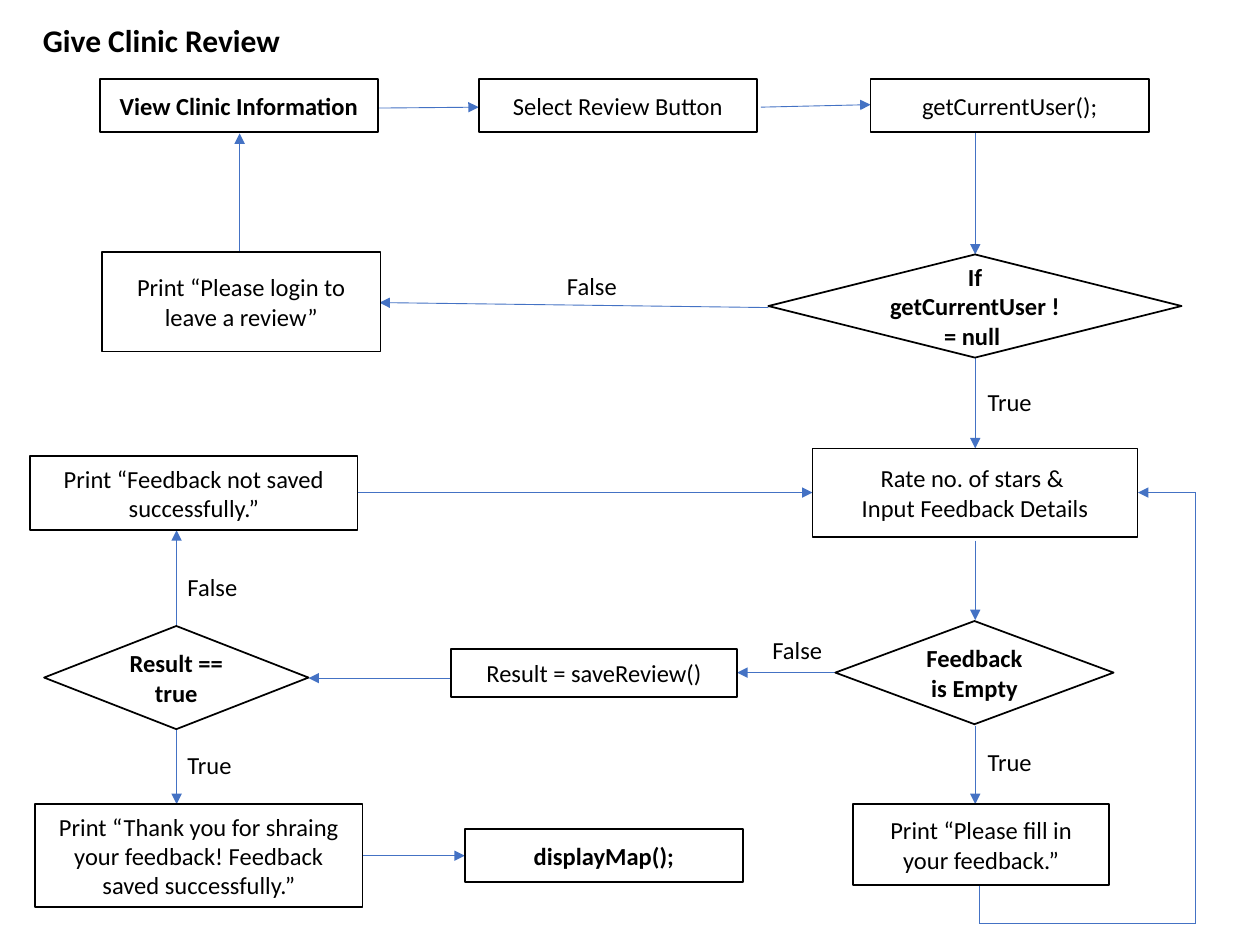
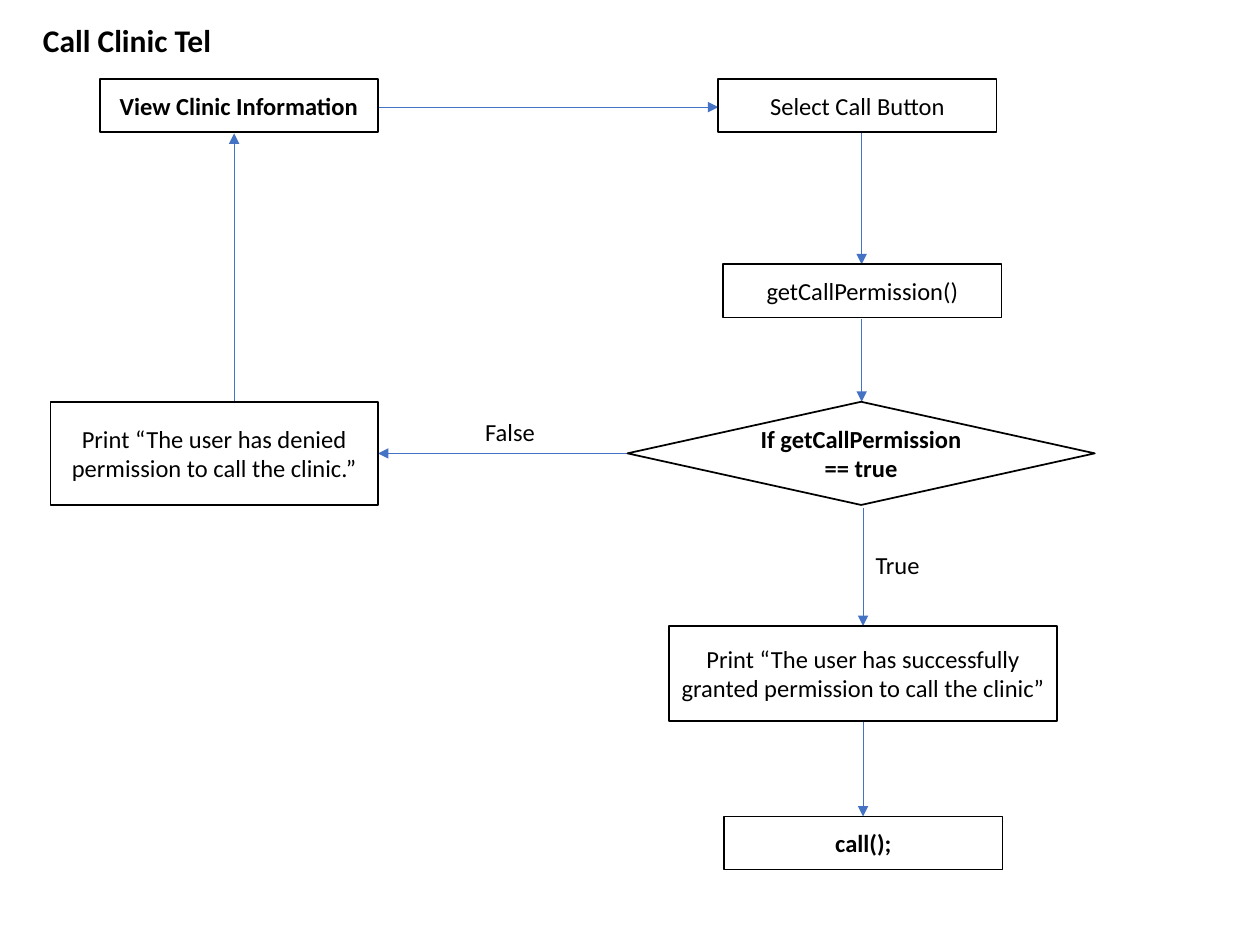
import pptx
import pptx.util
import pptx.dml.color
import pptx.enum.shapes
import pptx.enum.text
import pptx.oxml.ns
import lxml.etree
from dataclasses import dataclass

Cm, Pt = pptx.util.Cm, pptx.util.Pt
Color = pptx.dml.color.RGBColor.from_string
Form = pptx.enum.shapes.MSO_SHAPE
Align = pptx.enum.text.PP_ALIGN
Anchor = pptx.enum.text.MSO_ANCHOR
Fit = pptx.enum.text.MSO_AUTO_SIZE


@dataclass
class Theme:
    ink: str = "000000"
    paper: str = "FFFFFF"
    arrow: str = "4472C4"
    font: str = "Calibri"
    head: int = 18
    body: int = 14
    edge: float = 1
    wire: float = 0.5


class Chart:
    """Draws flow charts; all lengths are in centimetres."""
    STEP = (5.61, 1.07)   # usual box size
    TALL = 2.08           # height of tests and large boxes
    TOP = 1.6             # top of the first row

    def __init__(self, deck, theme):
        self.deck, self.theme = deck, theme
        self.slide = None

    def start(self, title, width):
        """Add a slide with its title."""
        self.slide = self.deck.slides.add_slide(self.deck.slide_layouts[5])
        head = self.slide.shapes.title
        head.left, head.top = Cm(0.61), Cm(0.3)
        head.width, head.height = Cm(width), Cm(1.02)
        self.letter(head.text_frame, title, self.theme.head, True, Align.LEFT)
        head.text_frame.vertical_anchor = Anchor.TOP
        head.text_frame.word_wrap = False
        head.text_frame.auto_size = Fit.NONE

    def letter(self, frame, text, size, bold, align):
        for i, line in enumerate(text.split("\n")):
            para = frame.add_paragraph() if i else frame.paragraphs[0]
            para.alignment = align
            para.line_spacing = 1.0
            run = para.add_run()
            run.text = line
            run.font.name, run.font.size = self.theme.font, Pt(size)
            run.font.bold = bold
            run.font.color.rgb = Color(self.theme.ink)

    def box(self, text, x, y, w=STEP[0], h=STEP[1], bold=False,
            form=Form.RECTANGLE):
        node = self.slide.shapes.add_shape(form, Cm(x), Cm(y), Cm(w), Cm(h))
        node.shadow.inherit = False
        node.fill.solid()
        node.fill.fore_color.rgb = Color(self.theme.paper)
        node.line.color.rgb = Color(self.theme.ink)
        node.line.width = Pt(self.theme.edge)
        node.text_frame.word_wrap = True
        node.text_frame.vertical_anchor = Anchor.MIDDLE
        self.letter(node.text_frame, text, self.theme.body, bold, Align.CENTER)

    def test(self, text, x, y, w):
        self.box(text, x, y, w, self.TALL, True, Form.DIAMOND)

    def label(self, text, x, y):
        width = 1.42 if text == "True" else 1.52
        note = self.slide.shapes.add_textbox(Cm(x), Cm(y), Cm(width), Cm(0.86))
        note.text_frame.word_wrap = False
        note.text_frame.auto_size = Fit.SHAPE_TO_FIT_TEXT
        self.letter(note.text_frame, text, self.theme.body, False, Align.LEFT)

    def arrow(self, *points):
        """Join the points; the last piece carries the arrowhead."""
        name = pptx.oxml.ns.qn
        for a, b in zip(points, points[1:]):
            wire = self.slide.shapes.add_connector(
                pptx.enum.shapes.MSO_CONNECTOR.STRAIGHT,
                Cm(a[0]), Cm(a[1]), Cm(b[0]), Cm(b[1]))
            wire.line.color.rgb = Color(self.theme.arrow)
            wire.line.width = Pt(self.theme.wire)
            props = wire._element.spPr
            if b == points[-1]:
                lxml.etree.SubElement(props.find(name("a:ln")),
                                      name("a:tailEnd"), type="triangle")
            lxml.etree.SubElement(props, name("a:effectLst"))

    def down(self, x, *spans):
        """Vertical arrows on one axis, each from one height to another."""
        for y, end in spans:
            self.arrow((x, y), (x, end))

    def across(self, y, x, end):
        self.arrow((x, y), (end, y))


deck = pptx.Presentation()
deck.slide_width, deck.slide_height = Cm(25.4), Cm(19.05)
flow = Chart(deck, Theme())
TOP, TALL = flow.TOP, flow.TALL
LEFT, WIDE = 2.01, 6.6   # first box, width of message boxes

# Slide 1: review flow
flow.start("Give Clinic Review", 5.33)
MAIN, SIDE = 19.66, 3.56   # axes of the right and left columns
LOW = 16.21                # top of the last row

# Arrows
flow.arrow((7.44, 2.18), (9.65, 2.16))
flow.arrow((15.34, 2.16), (17.55, 2.11))
flow.down(MAIN, (2.67, 5.13), (7.14, 9.04), (10.9, 12.5), (14.63, LOW))
flow.down(4.83, (5.08, 2.69))
flow.arrow((15.49, 6.2), (7.65, 6.1))
flow.arrow((19.74, 17.83), (19.74, 18.62), (24.1, 18.62),
           (24.1, 9.93), (22.94, 9.93))
flow.across(13.56, 16.84, 14.86)
flow.across(13.67, 9.09, 6.22)
flow.down(SIDE, (12.67, 10.69), (14.68, LOW))
flow.across(9.93, 7.21, 16.38)
flow.across(17.25, 7.32, 9.37)

# Boxes and tests
flow.box("View Clinic Information", LEFT, TOP, bold=True)
flow.box("Select Review Button", 9.65, TOP)
flow.box("getCurrentUser();", 17.55, TOP)
flow.test("If getCurrentUser != null ", 15.49, 5.13, 8.33)
flow.box("Print “Please login to leave a review”", 2.06, 5.08, h=2.01)
flow.box("Rate no. of stars & \nInput Feedback Details", 16.38, 9.04, 6.55, 1.78)
flow.test("Feedback is Empty", 16.84, 12.52, 5.61)
flow.box("Print “Please fill in your feedback.”", 17.2, LOW, 5.16, 1.63)
flow.box("Result = saveReview()", 9.09, 13.08, 5.77, 0.97)
flow.test("Result == true", 0.89, 12.62, 5.33)
flow.box("Print “Feedback not saved successfully.”", 0.61, 9.19, WIDE, 1.5)
flow.box("Print “Thank you for shraing your feedback! Feedback saved "
         "successfully.”", 0.71, LOW, WIDE, TALL)
flow.box("displayMap();", 9.37, 16.71, bold=True)

# Branch labels
for text, x, y in (("True", MAIN, 7.67), ("True", MAIN, 14.94),
                   ("True", 3.53, 14.99), ("False", 3.53, 11.4),
                   ("False", 11.18, 5.33), ("False", 15.32, 12.67)):
    flow.label(text, x, y)

# Slide 2: call flow
flow.start("Call Clinic Tel", 3.94)
ROW = 8.1   # top of the test row

# Arrows
flow.across(2.16, 7.62, 14.48)
flow.down(17.37, (2.69, 5.33), (6.43, ROW))
flow.down(17.4, (10.24, 12.62), (14.5, 16.46))
flow.across(9.14, 12.65, 7.62)
flow.down(4.72, (ROW, 2.69))

# Boxes and tests
flow.box("View Clinic Information", LEFT, TOP, bold=True)
flow.box("Select Call Button", 14.48, TOP)
flow.box("getCallPermission()", 14.58, 5.33)
flow.test("If getCallPermission == true", 12.65, ROW, 9.42)
flow.box("Print “The user has denied permission to call the clinic.”",
         1.02, ROW, WIDE, TALL)
flow.box("Print “The user has successfully granted permission to call "
         "the clinic”", 13.49, 12.62, 7.82, 1.91)
flow.box("call();", 14.6, 16.46, bold=True)

# Branch labels
flow.label("True", 17.4, 10.97)
flow.label("False", 9.53, 8.28)

deck.save("out.pptx")
